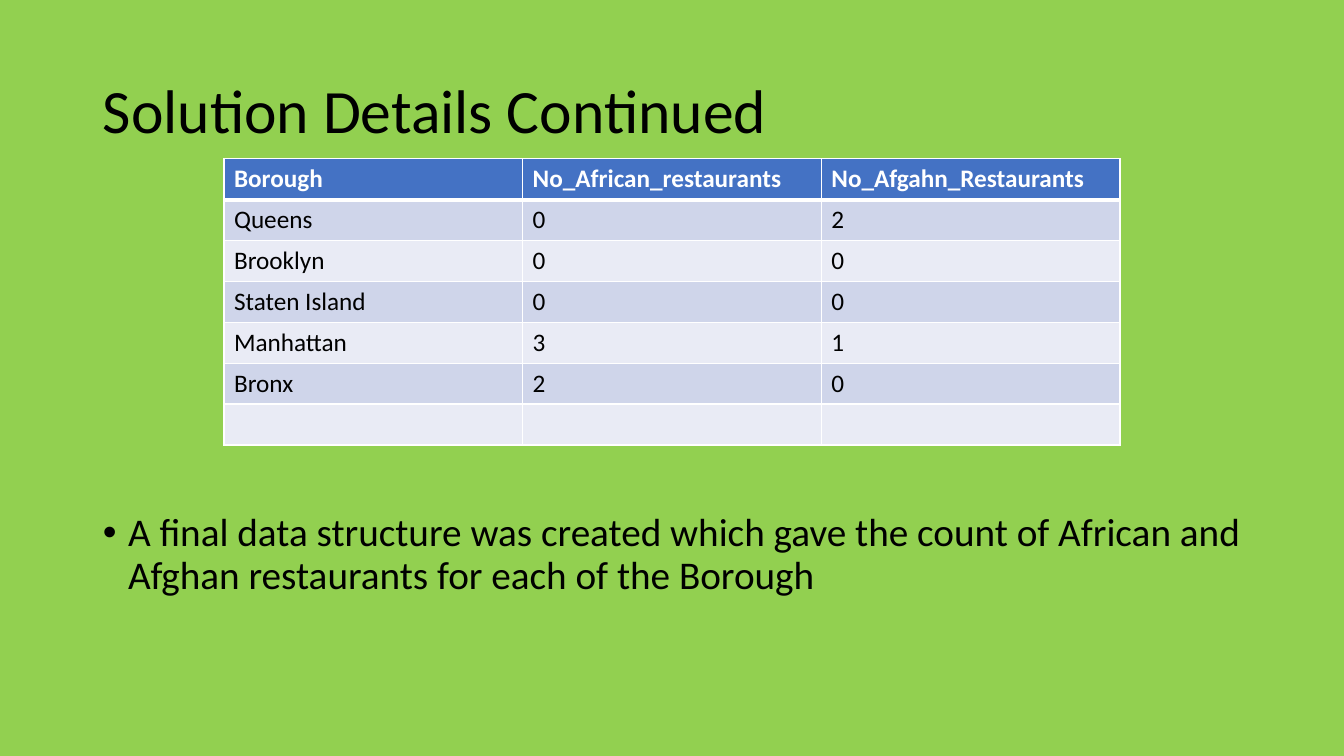
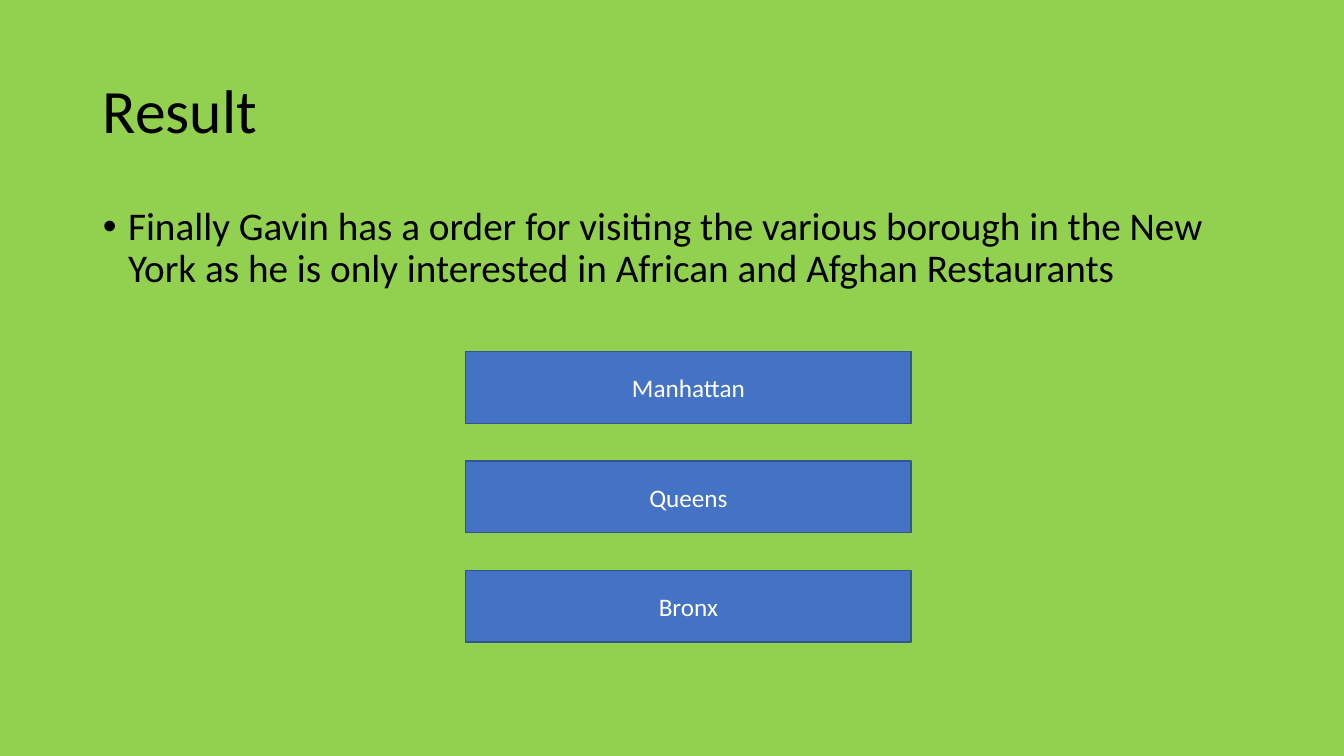
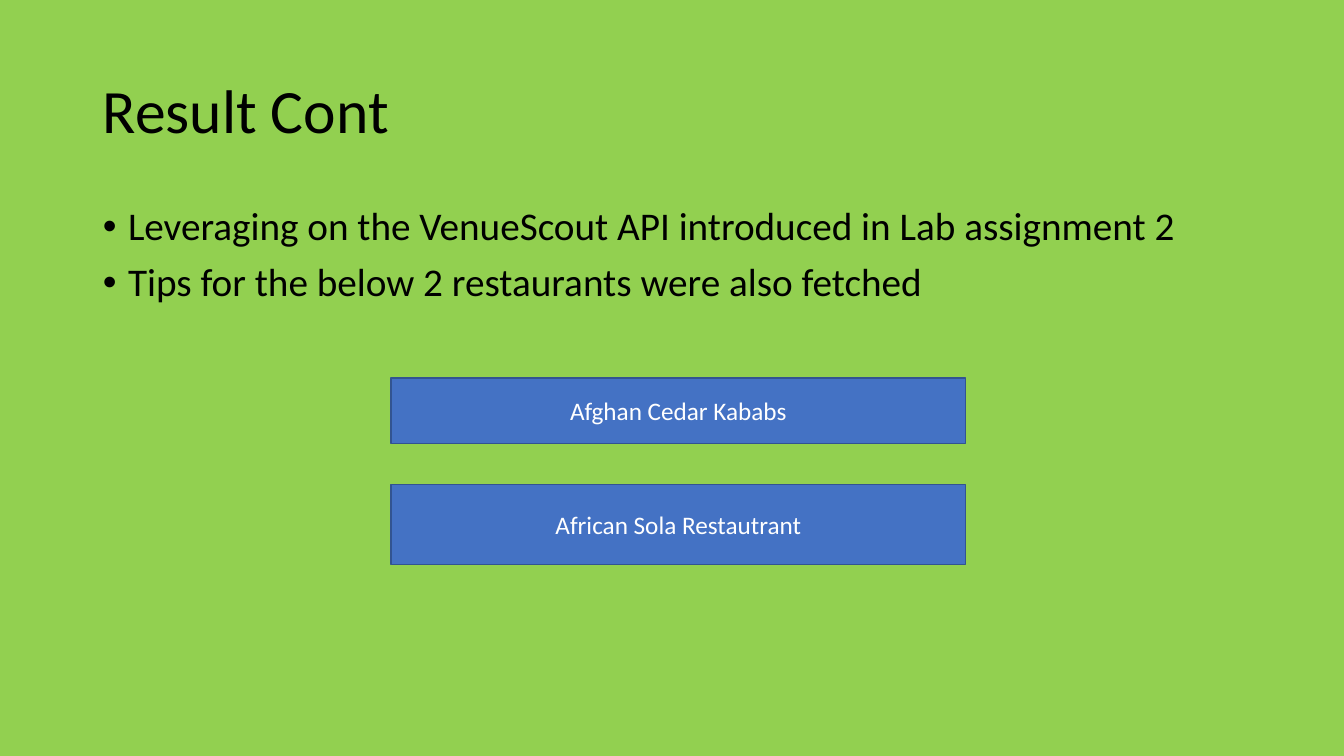
"""Build three slides on restaurant counts by borough and the resulting picks."""
import dataclasses

import lxml.etree
import pptx
import pptx.dml.color
import pptx.enum.shapes
import pptx.enum.text
import pptx.oxml.ns
import pptx.util


@dataclasses.dataclass(frozen=True)
class Theme:
    font: str = "Calibri"
    back: str = "92D050"
    ink: str = "000000"
    white: str = "FFFFFF"
    blue: str = "4472C4"
    edge: str = "325491"
    bands: tuple = ("CFD5EA", "E9EBF5")
    title: int = 44
    body: int = 28
    small: int = 18


T = Theme()
RGB = pptx.dml.color.RGBColor.from_string
ALIGN = pptx.enum.text.PP_ALIGN
ANCHOR = pptx.enum.text.MSO_ANCHOR
qn = pptx.oxml.ns.qn

prs = pptx.Presentation()
prs.slide_width = pptx.util.Inches(13.33)
prs.slide_height = pptx.util.Inches(7.5)
W, H = prs.slide_width, prs.slide_height


def box(left, top, width, height):
    return int(W * left / 100), int(H * top / 100), int(W * width / 100), int(H * height / 100)


def write(tf, text, size=T.small, color=T.ink, bold=False, align=ALIGN.LEFT,
          anchor=ANCHOR.TOP, spacing=1.0, before=0, bullet=False):
    tf.word_wrap = True
    tf.vertical_anchor = anchor
    for i, line in enumerate(text.split("\n")):
        p = tf.paragraphs[0] if i == 0 else tf.add_paragraph()
        p.alignment = align
        p.line_spacing = spacing
        p.space_before = pptx.util.Pt(before)
        if bullet:
            pPr = p._p.get_or_add_pPr()
            indent = pptx.util.Inches(0.25)
            pPr.set("marL", str(indent))
            pPr.set("indent", str(-indent))
            lxml.etree.SubElement(pPr, qn("a:buFont"), typeface="Arial")
            lxml.etree.SubElement(pPr, qn("a:buChar"), char="•")
        r = p.add_run()
        r.text = text.split("\n")[i]
        r.font.name = T.font
        r.font.size = pptx.util.Pt(size)
        r.font.bold = bold
        r.font.color.rgb = RGB(color)


fill = prs.slide_master.background.fill
fill.solid()
fill.fore_color.rgb = RGB(T.back)
layout = prs.slide_layouts[1]
areas = [box(6.9, 5.33, 86.25, 19.33), box(6.9, 26.67, 86.25, 63.47)]
for ph, area in zip(layout.placeholders, areas):
    ph.left, ph.top, ph.width, ph.height = area
    ph.text_frame.auto_size = pptx.enum.text.MSO_AUTO_SIZE.NONE

pages = [
    ("Solution Details Continued",
     "A final data structure was created which gave the count of African and Afghan "
     "restaurants for each of the Borough", 0, 0, []),
    ("Result",
     "Finally Gavin has a order for visiting the various borough in the New York as he is "
     "only interested in African and Afghan Restaurants", 34.65, 33.15,
     [(name, 46.53 + 14.47 * i, 9.47) for i, name in enumerate(["Manhattan", "Queens", "Bronx"])]),
    ("Result Cont",
     "Leveraging on the VenueScout API introduced in Lab assignment 2\n"
     "Tips for the below 2 restaurants were also fetched", 29.1, 42.75,
     [("Afghan Cedar Kababs", 50, 8.67), ("African Sola Restautrant", 64.13, 10.53)]),
]

for title, body, left, width, boxes in pages:
    s = prs.slides.add_slide(layout)
    write(s.shapes.title.text_frame, title, size=T.title, anchor=ANCHOR.MIDDLE, spacing=0.9)
    write(s.placeholders[1].text_frame, body, size=T.body, spacing=0.9, before=10, bullet=True)
    for name, top, height in boxes:
        sp = s.shapes.add_shape(pptx.enum.shapes.MSO_SHAPE.RECTANGLE, *box(left, top, width, height))
        sp.shadow.inherit = False
        sp.fill.solid()
        sp.fill.fore_color.rgb = RGB(T.blue)
        sp.line.color.rgb = RGB(T.edge)
        sp.line.width = pptx.util.Pt(1)
        write(sp.text_frame, name, color=T.white, align=ALIGN.CENTER, anchor=ANCHOR.MIDDLE)

s = prs.slides[0]
ph = s.placeholders[1]
ph.left, ph.top, ph.width, ph.height = box(6.9, 67.2, 86.25, 22.8)

rows = [
    ("Borough", "No_African_restaurants", "No_Afgahn_Restaurants"),
    ("Queens", "0", "2"),
    ("Brooklyn", "0", "0"),
    ("Staten Island", "0", "0"),
    ("Manhattan", "3", "1"),
    ("Bronx", "2", "0"),
    ("", "", ""),
]
table = s.shapes.add_table(len(rows), 3, W // 6, int(H * 0.21), W * 2 // 3, int(H * 0.37)).table
for y, row in enumerate(rows):
    for x, text in enumerate(row):
        cell = table.cell(y, x)
        tcPr = cell._tc.get_or_add_tcPr()
        thick = {"lnB": y == 0, "lnT": y == 1}
        for side in ("lnL", "lnR", "lnT", "lnB"):
            weight = pptx.util.Pt(3 if thick.get(side) else 1)
            ln = lxml.etree.SubElement(tcPr, qn("a:" + side), w=str(weight))
            solid = lxml.etree.SubElement(ln, qn("a:solidFill"))
            lxml.etree.SubElement(solid, qn("a:srgbClr"), val=T.white)
        cell.fill.solid()
        cell.fill.fore_color.rgb = RGB(T.bands[(y - 1) % 2] if y else T.blue)
        if text:
            write(cell.text_frame, text, color=T.ink if y else T.white, bold=y == 0)

prs.save("out.pptx")
